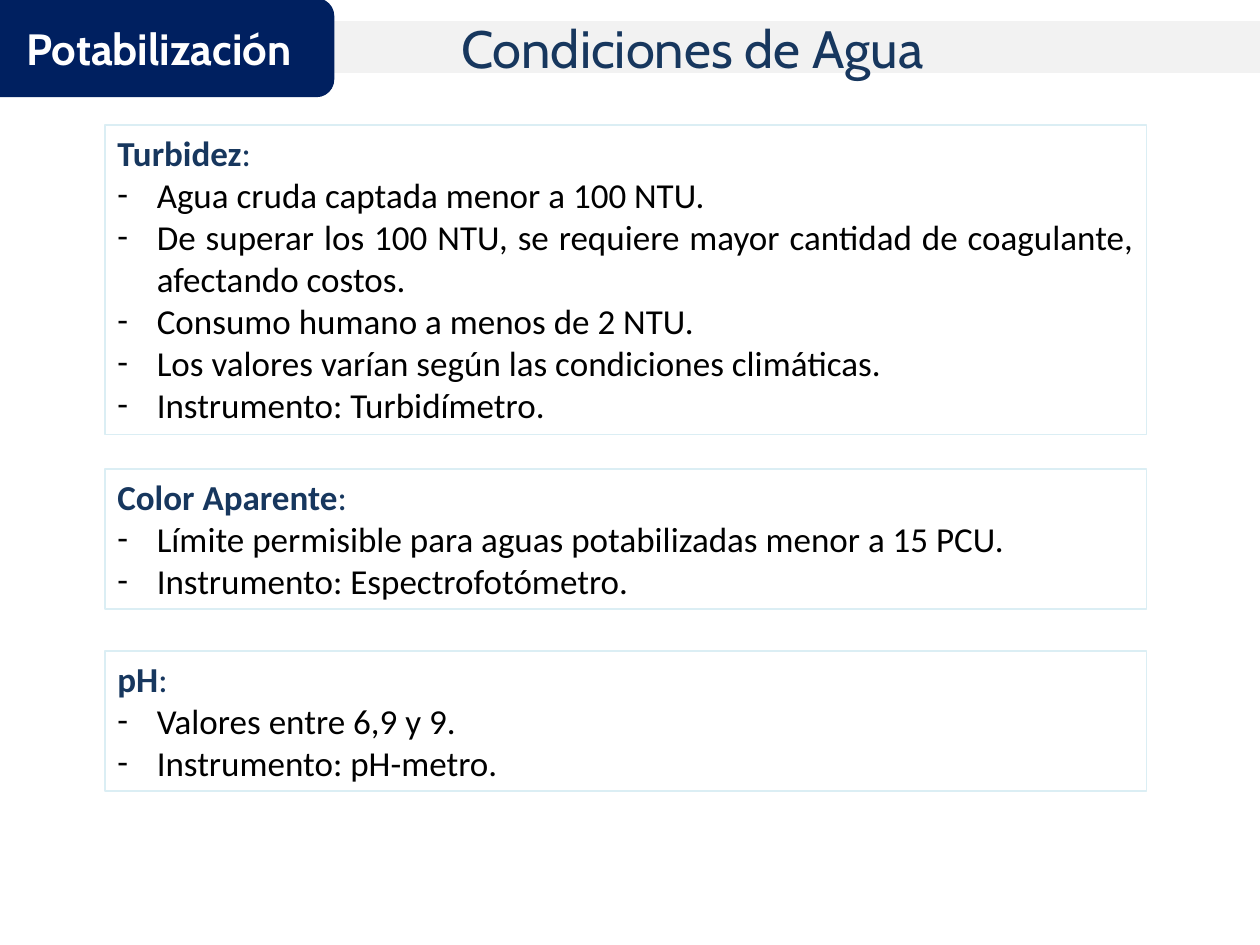
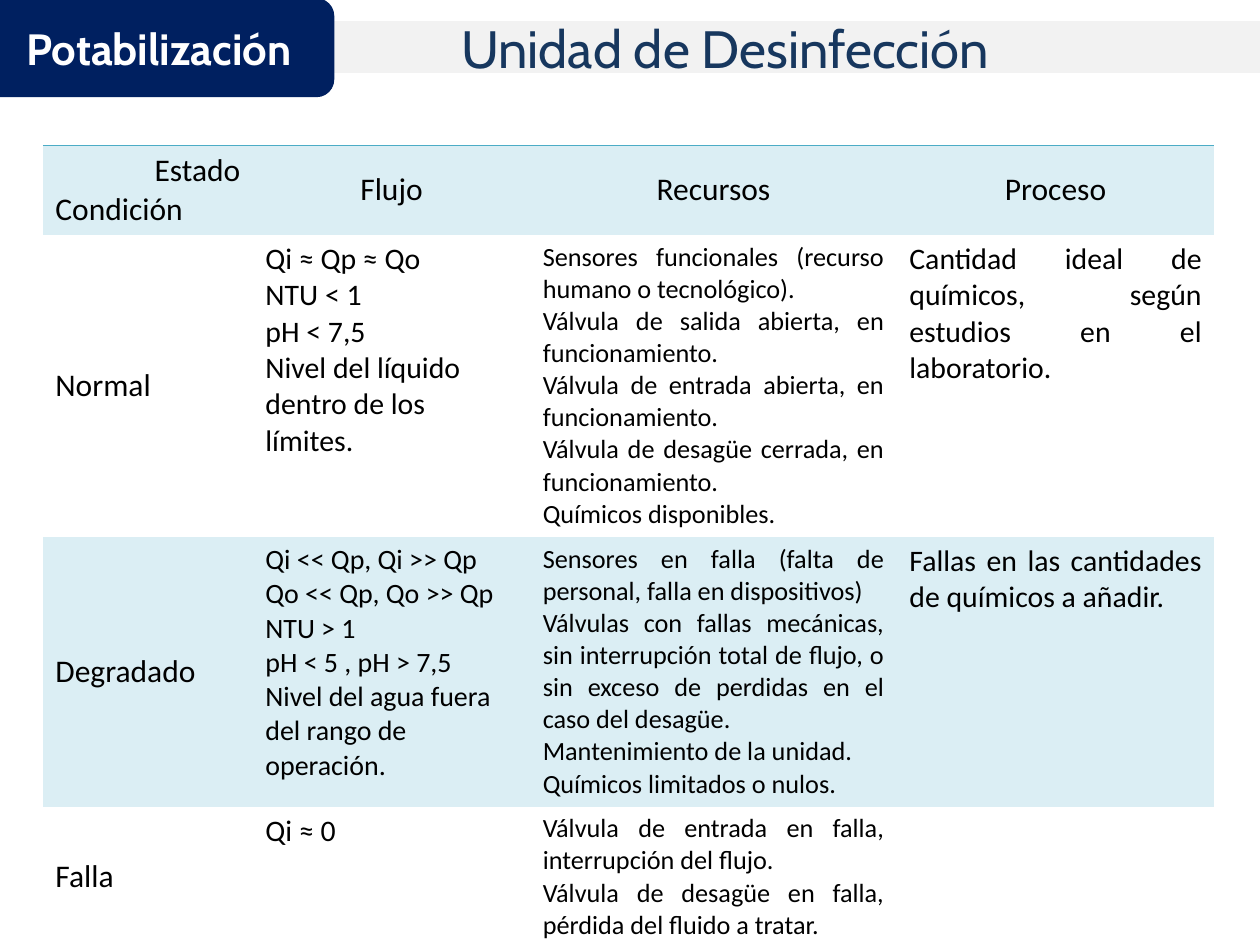
from dataclasses import dataclass

from lxml import etree
from pptx import Presentation
from pptx.dml.color import RGBColor
from pptx.enum.shapes import MSO_SHAPE
from pptx.enum.text import MSO_ANCHOR, MSO_AUTO_SIZE, PP_ALIGN
from pptx.oxml.ns import qn
from pptx.util import Pt

RECTANGLE, ROUNDED = MSO_SHAPE.RECTANGLE, MSO_SHAPE.ROUNDED_RECTANGLE
LEFT, CENTER, RIGHT, JUSTIFY = PP_ALIGN.LEFT, PP_ALIGN.CENTER, PP_ALIGN.RIGHT, PP_ALIGN.JUSTIFY
TOP, MIDDLE, BOTTOM = MSO_ANCHOR.TOP, MSO_ANCHOR.MIDDLE, MSO_ANCHOR.BOTTOM
NO_FIT, GROW = MSO_AUTO_SIZE.NONE, MSO_AUTO_SIZE.SHAPE_TO_FIT_TEXT

COLORS = {
    "navy": "002060",
    "heading": "17375E",
    "band": "F2F2F2",
    "pale": "DBEEF4",
    "teal": "4BACC6",
    "black": "000000",
    "white": "FFFFFF",
}
DISPLAY_FONT, BODY_FONT = "Cabin", "Calibri"
NO_TABLE_STYLE = "{2D5ABB26-0587-4C30-8999-92F81FD0307C}"
BULLET_INDENT = 22.5


@dataclass
class Condition:
    name: str
    top: float
    height: float
    points: list[str]


@dataclass
class CellText:
    lines: list[str]
    size: float = 18
    aligns: tuple = (LEFT,)
    anchor: MSO_ANCHOR = TOP


CONDITIONS = [
    Condition("Turbidez", 71.5, 177, [
        "Agua cruda captada menor a 100 NTU.",
        "De superar los 100 NTU, se requiere mayor cantidad de coagulante, afectando costos.",
        "Consumo humano a menos de 2 NTU.",
        "Los valores varían según las condiciones climáticas.",
        "Instrumento: Turbidímetro.",
    ]),
    Condition("Color Aparente", 268, 80, [
        "Límite permisible para aguas potabilizadas menor a 15 PCU.",
        "Instrumento: Espectrofotómetro.",
    ]),
    Condition("pH", 372, 80, ["Valores entre 6,9 y 9.", "Instrumento: pH-metro."]),
]


def column_label(text: str) -> CellText:
    return CellText([text], aligns=(CENTER,), anchor=MIDDLE)


def state(text: str) -> CellText:
    return CellText([text], anchor=MIDDLE)


def resources(*lines: str) -> CellText:
    return CellText(list(lines), 15, (JUSTIFY,))


def process(*lines: str) -> CellText:
    return CellText(list(lines), 17, (JUSTIFY,))


COLUMN_WIDTHS = [120, 158.5, 209.5, 181.5]
ROW_HEIGHTS = [48, 145, 127.5, 70.5]
STATES = [
    [
        CellText(["Estado", "Condición"], aligns=(RIGHT, LEFT), anchor=BOTTOM),
        column_label("Flujo"), column_label("Recursos"), column_label("Proceso"),
    ],
    [
        state("Normal"),
        CellText(["Qi ≈ Qp ≈ Qo", "NTU < 1", "pH < 7,5",
                  "Nivel del líquido dentro de los límites."], 17),
        resources(
            "Sensores funcionales (recurso humano o tecnológico).",
            "Válvula de salida abierta, en funcionamiento.",
            "Válvula de entrada abierta, en funcionamiento.",
            "Válvula de desagüe cerrada, en funcionamiento.",
            "Químicos disponibles.",
        ),
        process("Cantidad ideal de químicos, según estudios en el laboratorio."),
    ],
    [
        state("Degradado"),
        CellText(["Qi << Qp, Qi >> Qp", "Qo << Qp, Qo >> Qp", "NTU > 1", "pH < 5 , pH > 7,5",
                  "Nivel del agua fuera del rango de operación."], 16),
        resources(
            "Sensores en falla (falta de personal, falla en dispositivos)",
            "Válvulas con fallas mecánicas, sin interrupción total de flujo, o sin exceso de "
            "perdidas en el caso del desagüe.",
            "Mantenimiento de la unidad.",
            "Químicos limitados o nulos.",
        ),
        process("Fallas en las cantidades de químicos a añadir."),
    ],
    [
        state("Falla"),
        CellText(["Qi ≈ 0"], 17),
        resources(
            "Válvula de entrada en falla, interrupción del flujo.",
            "Válvula de desagüe en falla, pérdida del fluido a tratar.",
        ),
        process(),
    ],
]


def rgb(name: str) -> RGBColor:
    return RGBColor.from_string(COLORS[name])


def write(paragraph, text: str, *, size: float, color: str = "black", font: str = BODY_FONT,
          bold: bool = False, align: PP_ALIGN = LEFT) -> None:
    """Add one formatted run to a paragraph."""
    paragraph.alignment = align
    run = paragraph.add_run()
    run.text = text
    run.font.size, run.font.name, run.font.bold = Pt(size), font, bold
    run.font.color.rgb = rgb(color)


def paint(shape, fill: str | None, line: str, width: float) -> None:
    if fill:
        shape.fill.solid()
        shape.fill.fore_color.rgb = rgb(fill)
    else:
        shape.fill.background()
    shape.line.color.rgb = rgb(line)
    shape.line.width = Pt(width)


def add_box(slide, kind: MSO_SHAPE, left: float, top: float, width: float, height: float):
    box = slide.shapes.add_shape(kind, Pt(left), Pt(top), Pt(width), Pt(height))
    box.shadow.inherit = False
    box.text_frame.word_wrap = True
    return box


def add_dash(paragraph) -> None:
    properties = paragraph._p.get_or_add_pPr()
    properties.set("marL", str(Pt(BULLET_INDENT)))
    properties.set("indent", str(-Pt(BULLET_INDENT)))
    etree.SubElement(properties, qn("a:buFont")).set("typeface", BODY_FONT)
    etree.SubElement(properties, qn("a:buChar")).set("char", "-")


def add_border(cell, side: str) -> None:
    """Draw a teal edge; side is lnT or lnB. Call before filling the cell."""
    edge = etree.SubElement(cell._tc.get_or_add_tcPr(), qn(f"a:{side}"), w=str(Pt(1)))
    fill = etree.SubElement(edge, qn("a:solidFill"))
    etree.SubElement(fill, qn("a:srgbClr")).set("val", COLORS["teal"])


def add_slide(deck, heading: str):
    """Title band with the section badge over its left end."""
    slide = deck.slides.add_slide(deck.slide_layouts[5])
    title = slide.shapes.title
    title.left, title.top, title.width, title.height = Pt(184.5), Pt(13), Pt(535.5), Pt(28)
    paint(title, "band", "band", 2)
    frame = title.text_frame
    frame.auto_size, frame.vertical_anchor = NO_FIT, MIDDLE
    frame.margin_left = Pt(79)
    write(frame.paragraphs[0], heading, size=30, color="heading", font=DISPLAY_FONT)

    badge = add_box(slide, ROUNDED, -8.5, 0, 198.5, 54.5)
    paint(badge, "navy", "navy", 2)
    write(badge.text_frame.paragraphs[0], "Potabilización", size=25, color="white",
          font=DISPLAY_FONT, bold=True, align=CENTER)
    return slide


def add_condition(slide, condition: Condition) -> None:
    box = add_box(slide, RECTANGLE, 60, condition.top, 595, condition.height)
    paint(box, None, "pale", 0.75)
    frame = box.text_frame
    frame.vertical_anchor, frame.auto_size = TOP, GROW
    for text, bold in ((condition.name, True), (":", False)):
        write(frame.paragraphs[0], text, size=20, color="heading", bold=bold, align=JUSTIFY)
    for point in condition.points:
        paragraph = frame.add_paragraph()
        write(paragraph, point, size=20, align=JUSTIFY)
        add_dash(paragraph)


def fill_cell(cell, content: CellText, shaded: bool) -> None:
    if shaded:
        cell.fill.solid()
        cell.fill.fore_color.rgb = rgb("pale")
    else:
        cell.fill.background()
    cell.vertical_anchor = content.anchor
    frame = cell.text_frame
    for number, line in enumerate(content.lines):
        paragraph = frame.add_paragraph() if number else frame.paragraphs[0]
        align = content.aligns[number % len(content.aligns)]
        write(paragraph, line, size=content.size, align=align)


def add_states_table(slide) -> None:
    table = slide.shapes.add_table(
        len(STATES), len(COLUMN_WIDTHS), Pt(24.5), Pt(83),
        Pt(sum(COLUMN_WIDTHS)), Pt(sum(ROW_HEIGHTS))).table
    table.horz_banding = False
    table._tbl.tblPr.find(qn("a:tableStyleId")).text = NO_TABLE_STYLE
    for column, width in zip(table.columns, COLUMN_WIDTHS):
        column.width = Pt(width)
    for row, height in zip(table.rows, ROW_HEIGHTS):
        row.height = Pt(height)
    edges = {0: "lnT", len(STATES) - 1: "lnB"}
    for r, contents in enumerate(STATES):
        for c, content in enumerate(contents):
            cell = table.cell(r, c)
            if r in edges:
                add_border(cell, edges[r])
            fill_cell(cell, content, shaded=r % 2 == 0)


def main() -> None:
    deck = Presentation()
    deck.slide_width, deck.slide_height = Pt(720), Pt(540)

    # Water conditions
    water = add_slide(deck, "Condiciones de Agua")
    for condition in CONDITIONS:
        add_condition(water, condition)

    # Disinfection unit
    add_states_table(add_slide(deck, "Unidad de Desinfección"))

    deck.save("out.pptx")


if __name__ == "__main__":
    main()
